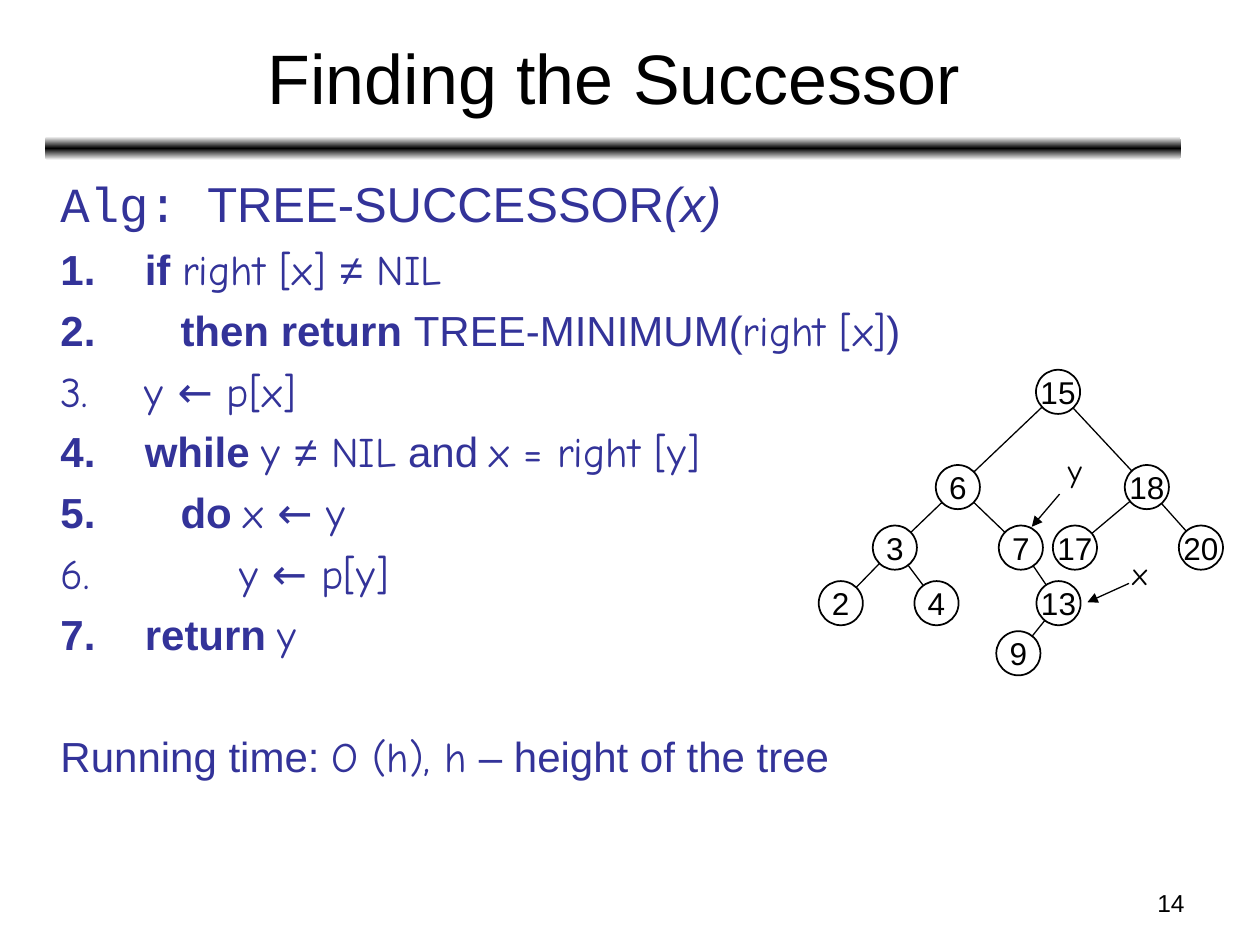
from copy import deepcopy

from lxml import etree
from pptx import Presentation
from pptx import util as u
from pptx.dml.color import RGBColor
from pptx.enum import shapes, text
from pptx.oxml.ns import qn

SANS, HAND, MONO = "Arial", "Comic Neue", "Courier New"
BLACK, WHITE, BLUE = "000000", "FFFFFF", "333399"

# Span styles: font, bold, italic
STYLES = {
    "plain": (SANS, False, False),
    "key": (SANS, True, False),
    "slant": (SANS, False, True),
    "hand": (HAND, False, False),
    "mono": (MONO, False, False),
}

HEADING = [("mono", "Alg: "), ("plain", "TREE-SUCCESSOR"), ("slant", "(x)")]
# Left indent in cm, then the spans of each numbered line
STEPS = [
    (1.7, [("key", "if "), ("hand", "right [x] "), ("plain", "≠"), ("hand", " NIL")]),
    (2.42, [("key", "then return "), ("plain", "TREE-MINIMUM("),
            ("hand", "right [x]"), ("plain", ")")]),
    (1.7, [("hand", "y ← p[x]")]),
    (1.7, [("key", "while "), ("hand", "y "), ("plain", "≠"), ("hand", " NIL"),
           ("plain", " and "), ("hand", "x = right [y]")]),
    (2.42, [("key", "do "), ("hand", "x ← y")]),
    (3.6, [("hand", "y ← p[y]")]),
    (1.7, [("key", "return "), ("hand", "y")]),
]
RUNNING_TIME = [("plain", "Running time: "), ("hand", "O (h), h"),
                ("plain", " – height of the tree")]

# Key: centre x, centre y (cm), parent key
NODES = {
    15: (21.33, 7.9, None),
    6: (19.31, 9.82, 15), 18: (23.12, 9.82, 15),
    3: (18.04, 11.04, 6), 7: (20.58, 11.04, 6),
    17: (21.67, 11.04, 18), 20: (24.21, 11.04, 18),
    2: (16.95, 12.16, 3), 4: (18.88, 12.16, 3), 13: (21.34, 12.16, 7),
    9: (20.53, 13.17, 13),
}
NODE_SIZE = 0.89
# Label, its left and top, arrow start and end (cm)
POINTERS = [
    ("y", (21.28, 8.97), (21.36, 9.96), (20.8, 10.62)),
    ("x", (22.58, 11.05), (22.76, 11.76), (21.92, 12.14)),
]


def color(value):
    return RGBColor.from_string(value)


def set_font(font, size, name=None, tint=BLACK):
    font.size = u.Pt(size)
    font.color.rgb = color(tint)
    if name:
        font.name = name


def add_text(page, words, left, top, width, height, size, name=SANS,
             align=text.PP_ALIGN.LEFT, anchor=text.MSO_ANCHOR.TOP):
    box = page.shapes.add_textbox(*map(u.Cm, (left, top, width, height)))
    frame = box.text_frame
    frame.word_wrap = True
    frame.vertical_anchor = anchor
    para = frame.paragraphs[0]
    para.text = words
    para.alignment = align
    set_font(para.font, size, name)


def add_line(parent, start, end, arrow=False):
    line = parent.add_connector(shapes.MSO_CONNECTOR.STRAIGHT,
                                *map(u.Cm, (*start, *end)))
    line.line.color.rgb = color(BLACK)
    line.line.width = u.Pt(0.75)
    if arrow:
        etree.SubElement(line.line._get_or_add_ln(), qn("a:tailEnd"), type="triangle")
    etree.SubElement(line._element.spPr, qn("a:effectLst"))


def add_rule(page):
    """Bar under the title that fades from black to white above and below."""
    bar = page.shapes.add_shape(shapes.MSO_SHAPE.ROUNDED_RECTANGLE,
                                *map(u.Cm, (0.91, 2.75, 22.9, 0.48)))
    bar.shadow.inherit = False
    bar.line.fill.background()
    bar.fill.gradient()
    bar.fill.gradient_angle = 90
    first, last = bar.fill.gradient_stops
    first.color.rgb = color(BLACK)
    middle = deepcopy(first._gs)
    middle.set("pos", "50000")
    first.color.rgb = last.color.rgb = color(WHITE)
    first._gs.addnext(middle)


def fill_paragraph(para, spans, size, before, indent=0, numbered=False):
    para.space_before = u.Pt(before)
    if numbered:
        props = para._p.get_or_add_pPr()
        props.set("marL", str(u.Cm(indent)))
        props.set("indent", str(-u.Cm(indent)))
        tint = etree.SubElement(props, qn("a:buClr"))
        etree.SubElement(tint, qn("a:srgbClr"), val=BLUE)
        etree.SubElement(props, qn("a:buFont"), typeface=SANS)
        etree.SubElement(props, qn("a:buAutoNum"), type="arabicPeriod")
    set_font(para.font, size, tint=BLUE)
    for style, words in spans:
        span = para.add_run()
        span.text = words
        span.font.name, span.font.bold, span.font.italic = STYLES[style]


def add_algorithm(page):
    box = page.shapes.add_textbox(*map(u.Cm, (0.97, 3.38, 22.86, 14.1)))
    frame = box.text_frame
    frame.word_wrap = True
    fill_paragraph(frame.paragraphs[0], HEADING, 28, 7)
    for indent, spans in STEPS:
        fill_paragraph(frame.add_paragraph(), spans, 24, 6, indent, numbered=True)
    fill_paragraph(frame.add_paragraph(), RUNNING_TIME, 24, 41)


def add_tree(page):
    tree = page.shapes.add_group_shape().shapes
    for x, y, parent in NODES.values():
        if parent:
            add_line(tree, (x, y), NODES[parent][:2])
    for key, (x, y, _) in NODES.items():
        node = tree.add_shape(
            shapes.MSO_SHAPE.OVAL,
            *map(u.Cm, (x - NODE_SIZE / 2, y - NODE_SIZE / 2, NODE_SIZE, NODE_SIZE)))
        node.shadow.inherit = False
        node.fill.solid()
        node.fill.fore_color.rgb = color(WHITE)
        node.line.color.rgb = color(BLACK)
        node.line.width = u.Pt(1)
        frame = node.text_frame
        frame.word_wrap = False
        frame.vertical_anchor = text.MSO_ANCHOR.MIDDLE
        para = frame.paragraphs[0]
        para.text = str(key)
        para.alignment = text.PP_ALIGN.CENTER
        set_font(para.font, 18, SANS)


def main():
    deck = Presentation()
    deck.slide_width, deck.slide_height = u.Cm(25.4), u.Cm(19.05)
    page = deck.slides.add_slide(deck.slide_layouts[6])
    add_rule(page)
    add_text(page, "14", 18.21, 17.78, 5.92, 0.89, 14, align=text.PP_ALIGN.RIGHT)
    add_text(page, "Finding the Successor", 0.94, 0.28, 22.86, 2.51, 40,
             align=text.PP_ALIGN.CENTER, anchor=text.MSO_ANCHOR.MIDDLE)
    add_algorithm(page)
    add_tree(page)
    for label, corner, start, end in POINTERS:
        add_line(page.shapes, start, end, arrow=True)
        add_text(page, label, *corner, 0.84, 1.02, 18, HAND)
    deck.save("out.pptx")


if __name__ == "__main__":
    main()
